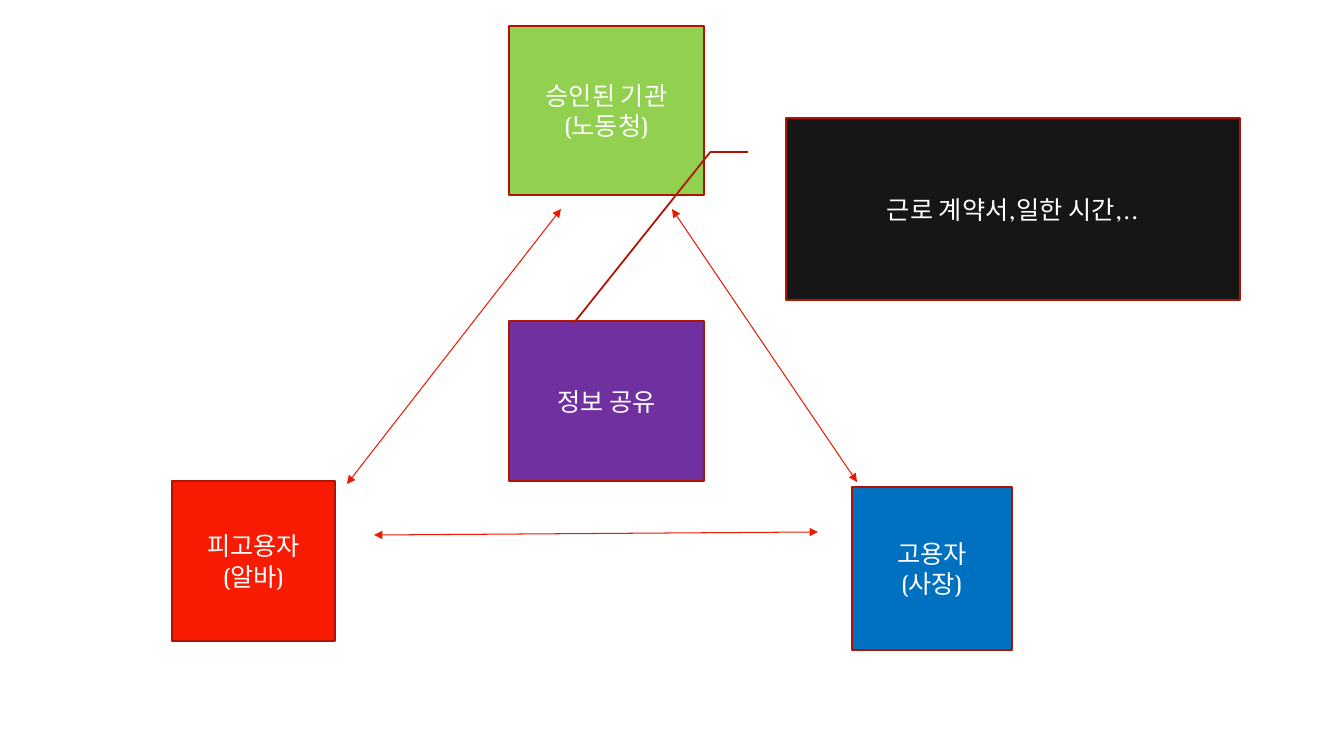
from pptx import Presentation
from pptx.dml.color import RGBColor
from pptx.enum.shapes import MSO_CONNECTOR as Connector, MSO_SHAPE as Shape
from pptx.enum.text import MSO_ANCHOR as Anchor, PP_ALIGN as Align
from pptx.oxml.ns import qn
from pptx.util import Pt
from lxml.etree import SubElement

PX = 914400 / 100.8
FONT = "TeX Gyre Bonum"
BORDER = "AF1301"
ARROW = "ED1A02"
WHITE = "FFFFFF"


def px(length):
    """Turn px into EMU."""
    return round(length * PX)


def rgb(code):
    """Turn a hex string into a colour."""
    return RGBColor.from_string(code)


def add_box(slide, box, label, fill, kind=Shape.RECTANGLE):
    """Draw a filled box with its label centred in it."""
    node = slide.shapes.add_shape(kind, *map(px, box))
    node.shadow.inherit = False
    node.fill.solid()
    node.fill.fore_color.rgb = rgb(fill)
    node.line.color.rgb = rgb(BORDER)
    node.line.width = Pt(1.25)
    frame = node.text_frame
    frame.word_wrap = True
    frame.vertical_anchor = Anchor.MIDDLE
    frame.text = label
    for line in frame.paragraphs:
        line.alignment = Align.CENTER
        line.font.name = FONT
        line.font.size = Pt(18)
        line.font.color.rgb = rgb(WHITE)


def add_exchange(slide, start, end):
    """Draw a thin arrow pointing both ways."""
    arrow = slide.shapes.add_connector(Connector.STRAIGHT, *map(px, start + end))
    arrow.line.color.rgb = rgb(ARROW)
    arrow.line.width = Pt(0.75)
    outline = arrow.line._get_or_add_ln()
    for tip in ("a:headEnd", "a:tailEnd"):
        SubElement(outline, qn(tip), type="triangle")
    SubElement(arrow._element.spPr, qn("a:effectLst"))


def add_triangle(slide, box):
    """Place the three parties, their exchanges and the shared information."""
    left, top, width, height = box
    right, bottom = left + width, top + height
    hub_left, hub_width = left + 337, 195
    exchanges = [
        ((left + 389, top + 183), (left + 175, bottom - 166)),
        ((left + 202, bottom - 115), (right - 194, bottom - 118)),
        ((left + 500, top + 183), (right - 155, bottom - 168)),
    ]
    for start, end in exchanges:
        add_exchange(slide, start, end)
    parties = [
        ((hub_left, top + 295, hub_width, 160), "정보 공유", "7030A0"),
        ((right - 160, bottom - 163, 160, 163), "고용자\n(사장)", "0070C0"),
        ((left, bottom - 169, 163, 160), "피고용자\n(알바)", "F81B02"),
        ((hub_left, top, hub_width, 169), "승인된 기관\n(노동청)", "92D050"),
    ]
    for place, label, fill in parties:
        add_box(slide, place, label, fill)


def main():
    """Build the slide and save it."""
    deck = Presentation()
    deck.slide_width, deck.slide_height = px(1344), px(756)
    slide = deck.slides.add_slide(deck.slide_layouts[6])
    add_triangle(slide, (172, 26, 840, 624))
    add_box(slide, (786, 118, 454, 182), "근로 계약서,일한 시간,..", "161616",
            Shape.LINE_CALLOUT_2)
    deck.save("out.pptx")


if __name__ == "__main__":
    main()
